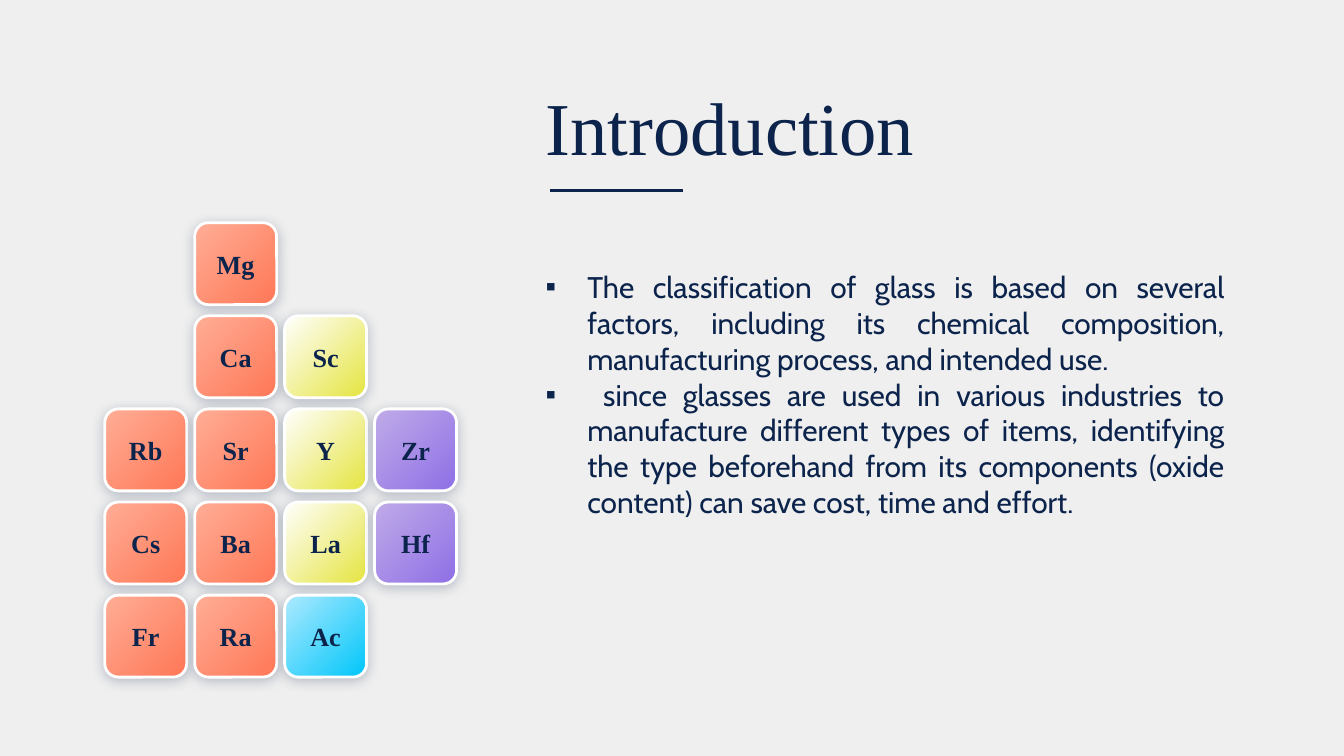
from lxml.etree import SubElement
from pptx import Presentation
from pptx.dml.color import RGBColor
from pptx.enum.shapes import MSO_CONNECTOR, MSO_SHAPE
from pptx.enum.text import MSO_ANCHOR as Anchor, MSO_AUTO_SIZE as AutoSize, PP_ALIGN as Align
from pptx.oxml.ns import qn
from pptx.util import Cm, Pt

TITLE = "Introduction"
BULLETS = [
    "The classification of glass is based on several factors, including its chemical composition, "
    "manufacturing process, and intended use.",
    " since glasses are used in various industries to manufacture different types of items, "
    "identifying the type beforehand from its components (oxide content) can save cost, time and effort.",
]
ELEMENT_ROWS = [
    ["", "Mg", "", ""],
    ["", "Ca", "Sc", ""],
    ["Rb", "Sr", "Y", "Zr"],
    ["Cs", "Ba", "La", "Hf"],
    ["Fr", "Ra", "Ac", ""],
]
ORANGE = ("FFAE96", "FF7757")
COLUMN_GRADIENTS = [ORANGE, ORANGE, ("FFFFFF", "E5E440"), ("C0ABE8", "8F6FE6")]
SPECIAL_GRADIENTS = {"Ac": ("AEEAFF", "00C6F9")}

NAVY, WHITE, PAPER = "0C244C", "FFFFFF", "EFEFEF"
SERIF, SANS = "Times New Roman", "Cabin"
GRID_LEFT, GRID_TOP = 1.98, 4.21
COLUMN_STEP, ROW_STEP, TILE = 1.7, 1.76, 1.55


def color(value):
    return RGBColor.from_string(value)


def place(shape, left, top, width, height):
    shape.left, shape.top, shape.width, shape.height = Cm(left), Cm(top), Cm(width), Cm(height)


def format_frame(frame, anchor, align, font_name, size, bold=False):
    frame.word_wrap = True
    frame.auto_size = AutoSize.NONE
    frame.vertical_anchor = anchor
    frame.margin_left = frame.margin_right = frame.margin_top = frame.margin_bottom = Cm(0.25)
    for paragraph in frame.paragraphs:
        paragraph.alignment = align
        paragraph.space_before = Pt(0)
        for run in paragraph.runs:
            run.font.name = font_name
            run.font.size = Pt(size)
            run.font.bold = bold
            run.font.color.rgb = color(NAVY)


def add_bullet(paragraph):
    properties = paragraph._p.get_or_add_pPr()
    properties.set("marL", str(Cm(0.79)))
    properties.set("indent", str(Cm(-0.79)))
    bullet_color = SubElement(properties, qn("a:buClr"))
    SubElement(bullet_color, qn("a:srgbClr"), val=NAVY)
    SubElement(properties, qn("a:buChar"), char="▪")


def add_shadow(shape):
    effects = SubElement(shape._element.spPr, qn("a:effectLst"))
    shadow = SubElement(effects, qn("a:outerShdw"), blurRad=str(Pt(6.8)), dist=str(Pt(1.5)),
                        dir=str(85 * 60000), algn="bl", rotWithShape="0")
    shadow_color = SubElement(shadow, qn("a:srgbClr"), val=NAVY)
    SubElement(shadow_color, qn("a:alpha"), val="25000")


def add_tile(slide, symbol, row, column):
    tile = slide.shapes.add_shape(
        MSO_SHAPE.ROUNDED_RECTANGLE, Cm(GRID_LEFT + column * COLUMN_STEP),
        Cm(GRID_TOP + row * ROW_STEP), Cm(TILE), Cm(TILE))
    tile.fill.gradient()
    tile.fill.gradient_angle = 315
    gradient = SPECIAL_GRADIENTS.get(symbol, COLUMN_GRADIENTS[column])
    for stop, value in zip(tile.fill.gradient_stops, gradient):
        stop.color.rgb = color(value)
    tile.line.color.rgb = color(WHITE)
    tile.line.width = Pt(1.5)
    add_shadow(tile)
    tile.text_frame.text = symbol
    format_frame(tile.text_frame, Anchor.MIDDLE, Align.CENTER, SERIF, 14, bold=True)
    tile.text_frame.word_wrap = False


def main():
    presentation = Presentation()
    presentation.slide_width, presentation.slide_height = Cm(25.4), Cm(14.29)
    slide = presentation.slides.add_slide(presentation.slide_layouts[1])
    slide.background.fill.solid()
    slide.background.fill.fore_color.rgb = color(PAPER)

    title, body = slide.placeholders
    place(title, 10.06, 1.27, 13.34, 2.21)
    title.text_frame.text = TITLE
    format_frame(title.text_frame, Anchor.BOTTOM, Align.LEFT, SERIF, 40)

    place(body, 10.06, 4.83, 13.34, 7.16)
    body.text_frame.text = "\n".join(BULLETS)
    format_frame(body.text_frame, Anchor.TOP, Align.JUSTIFY, SANS, 16)
    for paragraph in body.text_frame.paragraphs:
        add_bullet(paragraph)

    for row, symbols in enumerate(ELEMENT_ROWS):
        for column, symbol in enumerate(symbols):
            if symbol:
                add_tile(slide, symbol, row, column)

    rule = slide.shapes.add_connector(MSO_CONNECTOR.STRAIGHT, Cm(10.39), Cm(3.6), Cm(12.9), Cm(3.6))
    rule.line.color.rgb = color(NAVY)
    rule.line.width = Pt(1.5)
    SubElement(rule._element.spPr, qn("a:effectLst"))

    presentation.save("out.pptx")


if __name__ == "__main__":
    main()
